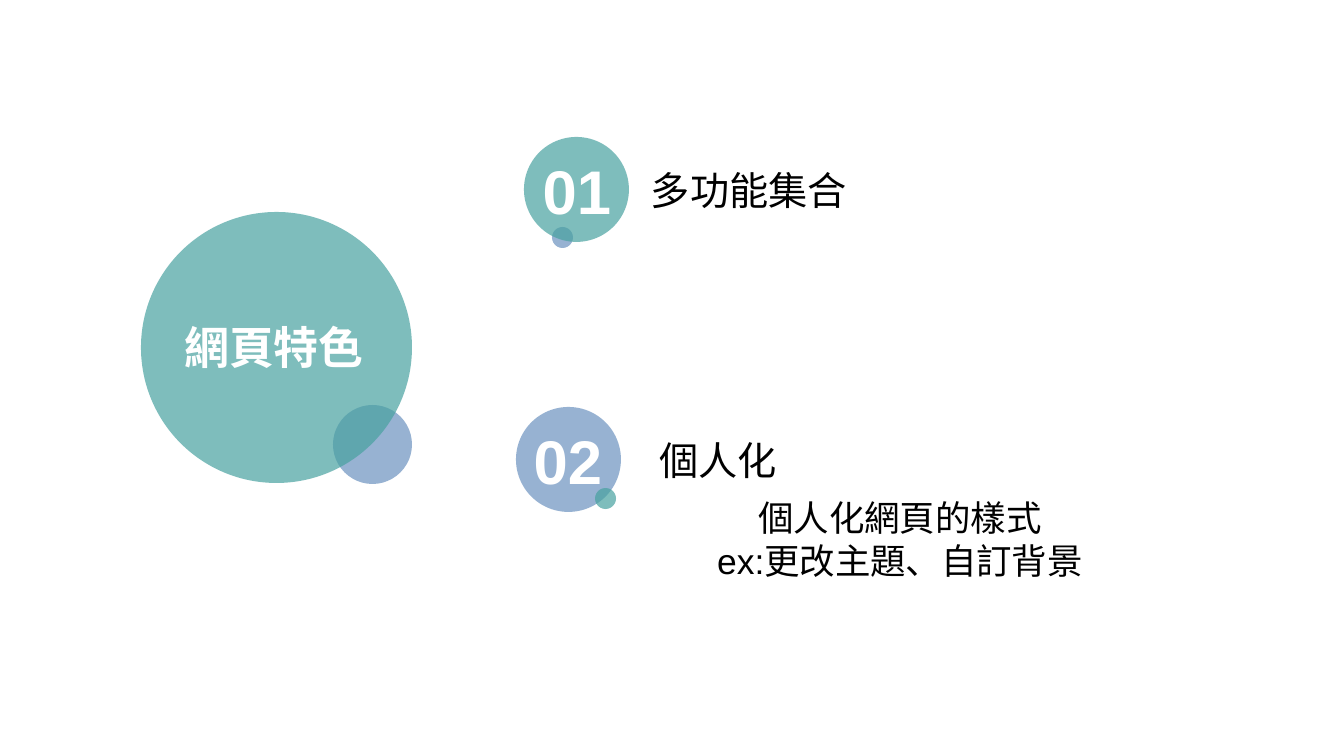
import pptx
import pptx.dml.color
import pptx.enum.shapes
import pptx.enum.text
import pptx.oxml.ns
import pptx.util
from dataclasses import dataclass
from lxml import etree

PX = 914400 / 134.4
ALIGN = pptx.enum.text.PP_ALIGN


@dataclass(frozen=True)
class Theme:
    teal: str = "48A2A0"
    blue: str = "6C92C0"
    white: str = "FFFFFF"
    black: str = "000000"
    latin: str = "Arial"
    chinese: str = "Noto Sans CJK SC"
    number: int = 33
    title: int = 24
    heading: int = 21
    detail: int = 19
    circle_opacity: int = 70


THEME = Theme()
SLIDE_SIZE = (1344, 756)

CIRCLES = [
    (333, 405, 79, THEME.blue),
    (552, 227, 21, THEME.blue),
    (524, 137, 105, THEME.teal),
    (141, 212, 271, THEME.teal),
    (516, 407, 105, THEME.blue),
    (595, 488, 21, THEME.teal),
]

TITLE = ("網頁特色", (175, 314, 435, 94))
NUMBERS = [
    ("01", (516, 148, 122, 85)),
    ("02", (503, 418, 130, 85)),
]
HEADINGS = [
    ("多功能集合", (610, 161, 278, 58), THEME.chinese, ALIGN.CENTER),
    ("個人化", (650, 431, 288, 58), THEME.latin, ALIGN.LEFT),
]
DETAIL = ("個人化網頁的樣式\nex:更改主題、自訂背景", (551, 491, 698, 97))


def emu(*lengths):
    return [pptx.util.Emu(round(length * PX)) for length in lengths]


def add_circle(slide, left, top, diameter, color):
    circle = slide.shapes.add_shape(
        pptx.enum.shapes.MSO_SHAPE.OVAL, *emu(left, top, diameter, diameter))
    circle.shadow.inherit = False
    circle.line.fill.background()
    circle.fill.solid()
    circle.fill.fore_color.rgb = pptx.dml.color.RGBColor.from_string(color)
    color_element = circle.element.spPr.find(
        f"{pptx.oxml.ns.qn('a:solidFill')}/{pptx.oxml.ns.qn('a:srgbClr')}")
    alpha = etree.SubElement(color_element, pptx.oxml.ns.qn("a:alpha"))
    alpha.set("val", str(THEME.circle_opacity * 1000))


def write_text(shape, text, size, color, font=THEME.latin, bold=False, align=ALIGN.CENTER):
    frame = shape.text_frame
    frame.text = text
    frame.word_wrap = True
    frame.auto_size = pptx.enum.text.MSO_AUTO_SIZE.NONE
    frame.vertical_anchor = pptx.enum.text.MSO_ANCHOR.TOP
    frame.margin_left = frame.margin_right = pptx.util.Inches(0.07)
    frame.margin_top = frame.margin_bottom = pptx.util.Inches(0.04)
    for paragraph in frame.paragraphs:
        paragraph.alignment = align
        paragraph.font.name = font
        paragraph.font.size = pptx.util.Pt(size)
        paragraph.font.bold = bold
        paragraph.font.color.rgb = pptx.dml.color.RGBColor.from_string(color)


def add_text(slide, text, box, *style, **options):
    write_text(slide.shapes.add_textbox(*emu(*box)), text, *style, **options)


def place_title(slide, text, box):
    title = slide.shapes.title
    title.left, title.top, title.width, title.height = emu(*box)
    write_text(title, text, THEME.title, THEME.white, bold=True, align=ALIGN.LEFT)
    title.element.getparent().append(title.element)


def main():
    presentation = pptx.Presentation()
    presentation.slide_width, presentation.slide_height = emu(*SLIDE_SIZE)
    slide = presentation.slides.add_slide(presentation.slide_layouts[5])

    for circle in CIRCLES:
        add_circle(slide, *circle)
    place_title(slide, *TITLE)
    for text, box in NUMBERS:
        add_text(slide, text, box, THEME.number, THEME.white, bold=True)
    for text, box, font, align in HEADINGS:
        add_text(slide, text, box, THEME.heading, THEME.black, font=font, align=align)
    add_text(slide, *DETAIL, THEME.detail, THEME.black)

    presentation.save("out.pptx")


if __name__ == "__main__":
    main()
